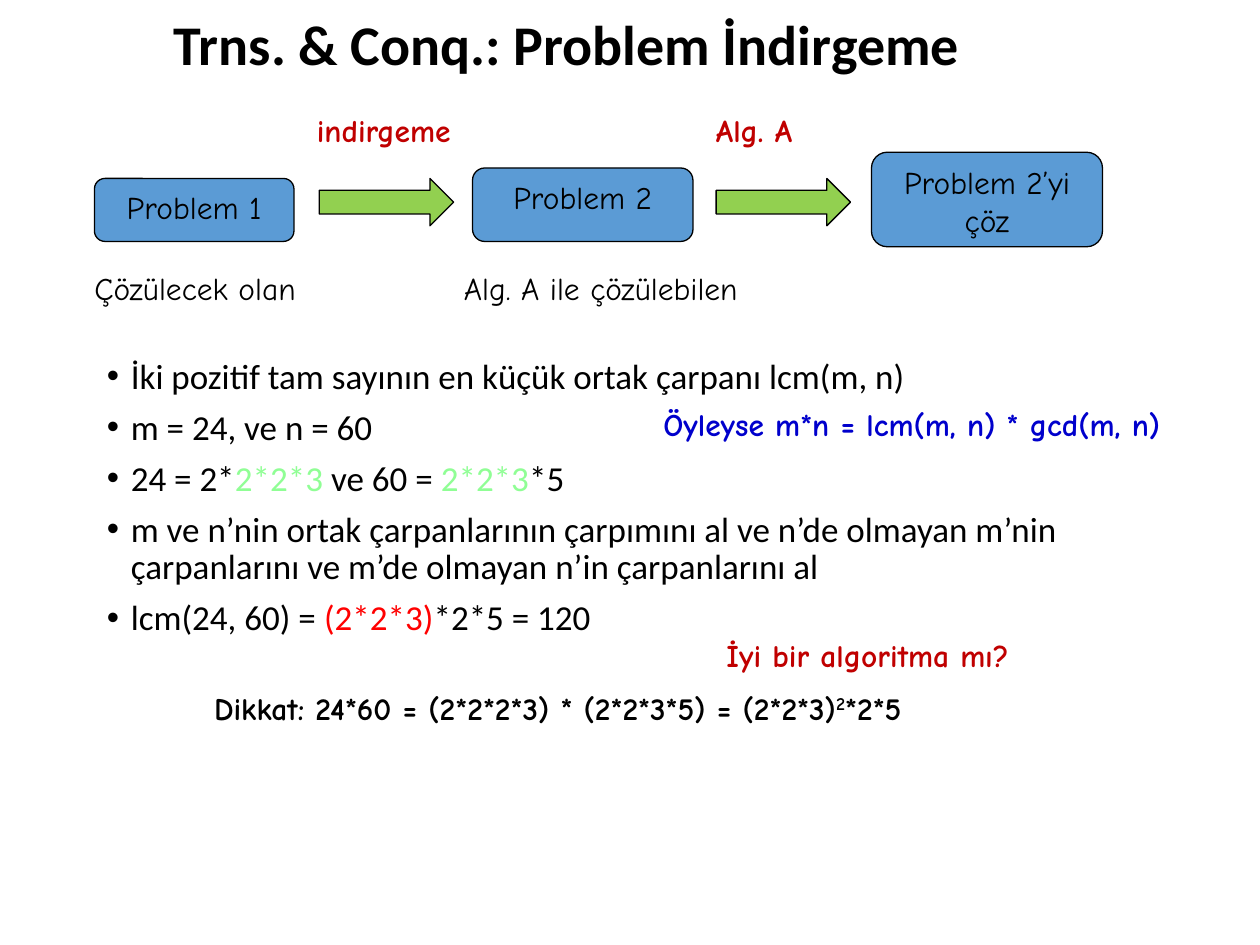
from pptx import Presentation
from pptx.dml.color import RGBColor as RGB
from pptx.enum.shapes import MSO_SHAPE as Shape
from pptx.enum.text import MSO_ANCHOR as Anchor, MSO_AUTO_SIZE as Fit, PP_ALIGN as Align
from pptx.oxml.ns import qn
from pptx.util import Inches, Pt
from lxml.etree import SubElement

BLACK = RGB(0x00, 0x00, 0x00)
BLUE = RGB(0x5B, 0x9B, 0xD5)
GREEN = RGB(0x92, 0xD0, 0x50)
MINT = RGB(0x90, 0xFE, 0x95)
RED = RGB(0xFF, 0x00, 0x00)
DARK_RED = RGB(0xC0, 0x00, 0x00)
NAVY = RGB(0x00, 0x00, 0xCC)
SANS, HAND = "Calibri", "Comic Neue"

# Content; places are in grid cells of 1/12 inch: left, top, width, height
TITLE = "Trns. & Conq.: Problem İndirgeme"
BULLETS = [
    [("İki pozitif tam sayının en küçük ortak çarpanı lcm(m, n)", BLACK)],
    [("m = 24, ve n = 60", BLACK)],
    [("24 = 2*", BLACK), ("2*2*3 ", MINT), ("ve 60 = ", BLACK),
     ("2*2*3", MINT), ("*5", BLACK)],
    [("m ve n’nin ortak çarpanlarının çarpımını al ve n’de olmayan m’nin "
      "çarpanlarını ve m’de olmayan n’in çarpanlarını al", BLACK)],
    [("lcm(24, 60) = ", BLACK), ("(2*2*3)", RED), ("*2*5 = 120", BLACK)],
]
BOXES = [
    ("Problem 1", (9, 17, 19, 6)),
    ("Problem 2", (45, 16, 21, 7)),
    ("Problem 2’yi çöz", (83, 14.5, 22, 9)),
]
ARROWS = [(30.4, 17, 12.8, 4.5), (68.2, 17, 12.8, 4.5)]
# Text runs, left, top, width, colour, bold
LABELS = [
    (["indirgeme"], 29, 10, 16.3, DARK_RED, True),
    (["Alg. A"], 67, 10, 11.9, DARK_RED, True),
    (["Alg. A ile çözülebilen"], 43, 25, 31.6, BLACK, False),
    (["Çözülecek olan"], 7.8, 25, 22.8, BLACK, False),
    (["İyi bir algoritma mı?"], 68, 60, 33, DARK_RED, True),
    (["Dikkat: 24*60 = (2*2*2*3) * (2*2*3*5) = (2*2*3)", "2", "*2*5"],
     19.2, 65, 84.6, BLACK, True),
    (["Öyleyse m*n = lcm(m, n) * gcd(m, n)"], 62, 38, 56.6, NAVY, True),
]

deck = Presentation()
deck.slide_width, deck.slide_height = Inches(10), Inches(7.5)
slide = deck.slides.add_slide(deck.slide_layouts[6])


def cells(*place):
    return [Inches(n / 12) for n in place]


def add_run(para, text, size, face, color, bold=False):
    run = para.add_run()
    run.text = text
    font = run.font
    font.size, font.name, font.bold = Pt(size), face, bold
    font.color.rgb = color
    return run


def add_text(*place, wrap=True):
    frame = slide.shapes.add_textbox(*cells(*place)).text_frame
    frame.word_wrap = wrap
    return frame


def add_form(kind, place, fill):
    form = slide.shapes.add_shape(kind, *cells(*place))
    form.shadow.inherit = False
    form.fill.solid()
    form.fill.fore_color.rgb = fill
    form.line.color.rgb = BLACK
    form.line.width = Pt(0.75)
    return form


# Title
frame = add_text(9, 1, 90, 7)
frame.vertical_anchor = Anchor.MIDDLE
para = frame.paragraphs[0]
para.alignment, para.line_spacing = Align.CENTER, 0.9
add_run(para, TITLE, 32, SANS, BLACK, True)

# Bullet list
frame = add_text(9, 33.6, 101, 38.4)
for row, runs in enumerate(BULLETS):
    para = frame.add_paragraph() if row else frame.paragraphs[0]
    props = para._p.get_or_add_pPr()
    props.set("marL", str(Inches(0.19)))
    props.set("indent", str(-Inches(0.19)))
    SubElement(props, qn("a:buFont")).set("typeface", "Arial")
    SubElement(props, qn("a:buChar")).set("char", "•")
    para.line_spacing = 0.9
    if row:
        para.space_before = Pt(7.5)
    for text, color in runs:
        add_run(para, text, 20, SANS, color)

# Problem boxes and the arrows between them
for text, place in BOXES:
    frame = add_form(Shape.ROUNDED_RECTANGLE, place, BLUE).text_frame
    frame.word_wrap, frame.vertical_anchor = True, Anchor.TOP
    para = frame.paragraphs[0]
    para.alignment = Align.CENTER
    add_run(para, text, 18, HAND, BLACK)
for place in ARROWS:
    add_form(Shape.RIGHT_ARROW, place, GREEN)

# Labels and remarks; a second run is an exponent
for texts, left, top, width, color, bold in LABELS:
    frame = add_text(left, top, width, 4.8, wrap=False)
    frame.auto_size = Fit.SHAPE_TO_FIT_TEXT
    for spot, text in enumerate(texts):
        run = add_run(frame.paragraphs[0], text, 18, HAND, color, bold)
        if spot == 1:
            run._r.get_or_add_rPr().set("baseline", "30000")

deck.save("out.pptx")
